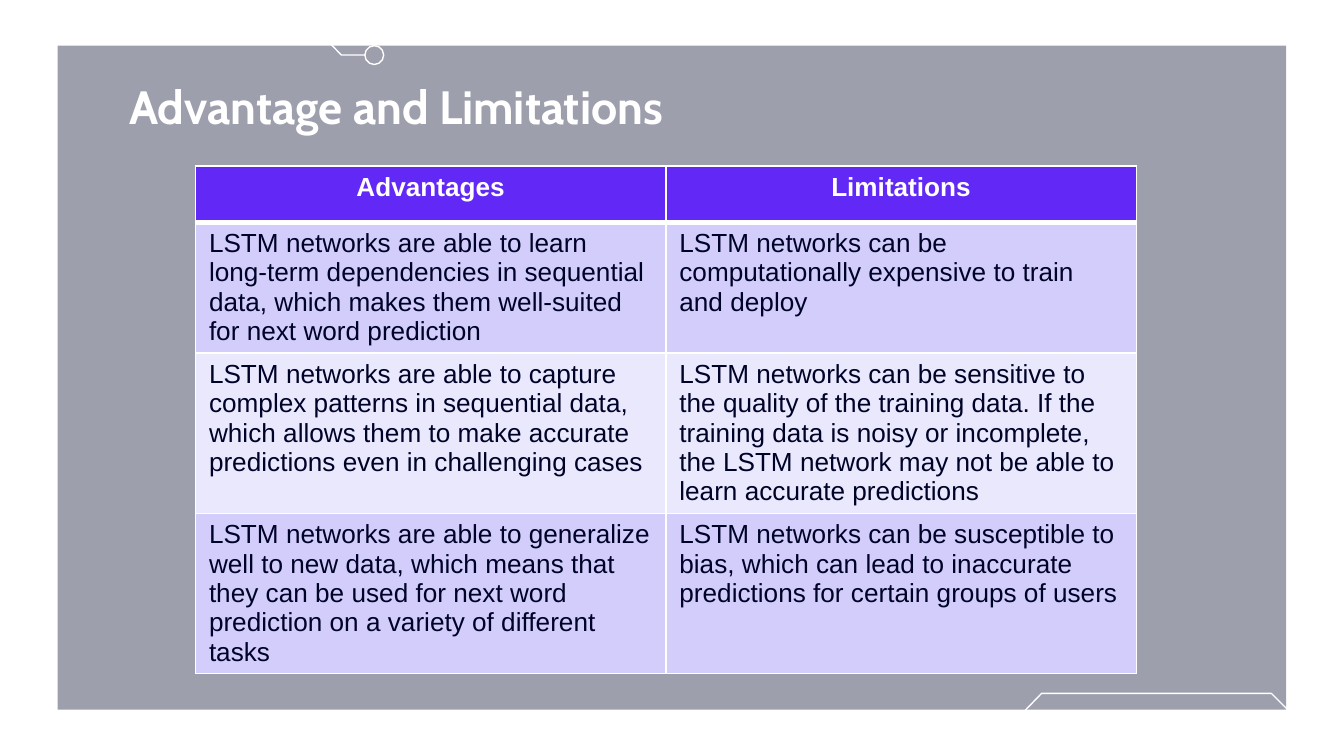
from dataclasses import dataclass

from lxml.etree import SubElement
from pptx import Presentation
from pptx.dml.color import RGBColor
from pptx.enum.shapes import MSO_SHAPE
from pptx.enum.text import MSO_ANCHOR, MSO_AUTO_SIZE, PP_ALIGN
from pptx.oxml.ns import qn
from pptx.util import Emu, Pt

PX = 4572  # EMU per px, 200 px to the inch
SLIDE_W, SLIDE_H = 2000, 1125

COLORS = {
    "white": "FFFFFF",
    "ink": "000328",
    "header": "6128F6",
    "band_dark": "D2CDFB",
    "band_light": "EAE8FD",
}


@dataclass(frozen=True)
class Box:
    left: int
    top: int
    width: int
    height: int

    def emu(self) -> tuple[Emu, ...]:
        return tuple(Emu(v * PX) for v in (self.left, self.top, self.width, self.height))


@dataclass(frozen=True)
class Circuit:
    """A bent trace ending in a ring; mirrored ones run from the right edge."""
    drop: int
    mirrored: bool


@dataclass(frozen=True)
class RowStyle:
    fill: str
    ink: str
    bold: bool
    align: PP_ALIGN
    top: int
    bottom: int


PANEL = Box(86, 68, 1828, 988)
TITLE = Box(157, 95, 1686, 126)
TABLE = Box(291, 247, 1400, 334)

TRACE = [(0, 50), (80, 50), (108, 22), (450, 22), (508, 82), (544, 82)]
RING_LEFT, RING_TOP, RING_SIZE = 543, 68, 28
CIRCUITS = [Circuit(0, False), Circuit(1010, True)]

HEADER = RowStyle("header", "white", True, PP_ALIGN.CENTER, 1, 3)
FIRST = RowStyle("band_dark", "ink", False, PP_ALIGN.LEFT, 3, 1)
LIGHT = RowStyle("band_light", "ink", False, PP_ALIGN.LEFT, 1, 1)
DARK = RowStyle("band_dark", "ink", False, PP_ALIGN.LEFT, 1, 1)

ROWS = [
    (HEADER, "Advantages", "Limitations"),
    (FIRST,
     "LSTM networks are able to learn long-term dependencies in sequential data, "
     "which makes them well-suited for next word prediction",
     "LSTM networks can be computationally expensive to train and deploy"),
    (LIGHT,
     "LSTM networks are able to capture complex patterns in sequential data, "
     "which allows them to make accurate predictions even in challenging cases",
     "LSTM networks can be sensitive to the quality of the training data. "
     "If the training data is noisy or incomplete, the LSTM network may not be "
     "able to learn accurate predictions"),
    (DARK,
     "LSTM networks are able to generalize well to new data, which means that "
     "they can be used for next word prediction on a variety of different tasks",
     "LSTM networks can be susceptible to bias, which can lead to inaccurate "
     "predictions for certain groups of users"),
]


def rgb(name: str) -> RGBColor:
    return RGBColor.from_string(COLORS[name])


def add_run(paragraph, text: str, font: str, size: int, color: str, bold: bool) -> None:
    run = paragraph.add_run()
    run.text = text
    run.font.name = font
    run.font.size = Pt(size)
    run.font.bold = bold
    run.font.color.rgb = rgb(color)


def draw_panel(slide, box: Box) -> None:
    panel = slide.shapes.add_shape(MSO_SHAPE.RECTANGLE, *box.emu())
    panel.shadow.inherit = False
    panel.line.fill.background()
    panel.fill.solid()
    panel.fill.fore_color.rgb = rgb("ink")
    color = panel._element.spPr.find(qn("a:solidFill"))[0]
    SubElement(color, qn("a:alpha"), val="38000")


def draw_circuit(slide, circuit: Circuit) -> None:
    def across(x: int) -> int:
        return SLIDE_W - x if circuit.mirrored else x

    points = [(across(x), y + circuit.drop) for x, y in TRACE]
    builder = slide.shapes.build_freeform(*points[0], scale=PX)
    builder.add_line_segments(points[1:], close=False)
    trace = builder.convert_to_shape()

    ring_left = min(across(RING_LEFT), across(RING_LEFT + RING_SIZE))
    ring_box = Box(ring_left, RING_TOP + circuit.drop, RING_SIZE, RING_SIZE)
    ring = slide.shapes.add_shape(MSO_SHAPE.OVAL, *ring_box.emu())

    for part in (trace, ring):
        part.shadow.inherit = False
        part.fill.background()
        part.line.color.rgb = rgb("white")
        part.line.width = Pt(0.75)


def draw_title(slide, box: Box, text: str) -> None:
    title = slide.shapes.title
    title.left, title.top, title.width, title.height = box.emu()
    frame = title.text_frame
    frame.word_wrap = True
    frame.auto_size = MSO_AUTO_SIZE.NONE
    frame.vertical_anchor = MSO_ANCHOR.MIDDLE
    frame.margin_left = frame.margin_right = Emu(20 * PX)
    frame.margin_top = frame.margin_bottom = Emu(20 * PX)
    frame.paragraphs[0].alignment = PP_ALIGN.LEFT
    add_run(frame.paragraphs[0], text, "Cabin", 25, "white", True)
    # Bring the title in front of the panel
    slide.shapes._spTree.append(title._element)


def set_borders(cell, top: int, bottom: int) -> None:
    properties = cell._tc.get_or_add_tcPr()
    widths = {"a:lnL": 1, "a:lnR": 1, "a:lnT": top, "a:lnB": bottom}
    for position, (tag, width) in enumerate(widths.items()):
        line = SubElement(properties, qn(tag), w=str(Pt(width)))
        fill = SubElement(line, qn("a:solidFill"))
        SubElement(fill, qn("a:srgbClr"), val=COLORS["white"])
        properties.insert(position, line)  # borders precede the fill


def draw_table(slide, box: Box) -> None:
    table = slide.shapes.add_table(len(ROWS), 2, *box.emu()).table
    for r, (style, *texts) in enumerate(ROWS):
        for c, text in enumerate(texts):
            cell = table.cell(r, c)
            cell.fill.solid()
            cell.fill.fore_color.rgb = rgb(style.fill)
            set_borders(cell, style.top, style.bottom)
            paragraph = cell.text_frame.paragraphs[0]
            paragraph.alignment = style.align
            add_run(paragraph, text, "Arial", 14, style.ink, style.bold)


def main() -> None:
    deck = Presentation()
    deck.slide_width, deck.slide_height = Emu(SLIDE_W * PX), Emu(SLIDE_H * PX)
    slide = deck.slides.add_slide(deck.slide_layouts.get_by_name("Title Only"))
    slide.background.fill.solid()
    slide.background.fill.fore_color.rgb = rgb("white")

    # Backdrop
    draw_panel(slide, PANEL)
    for circuit in CIRCUITS:
        draw_circuit(slide, circuit)

    # Content
    draw_title(slide, TITLE, " Advantage and Limitations")
    draw_table(slide, TABLE)
    deck.save("out.pptx")


if __name__ == "__main__":
    main()
